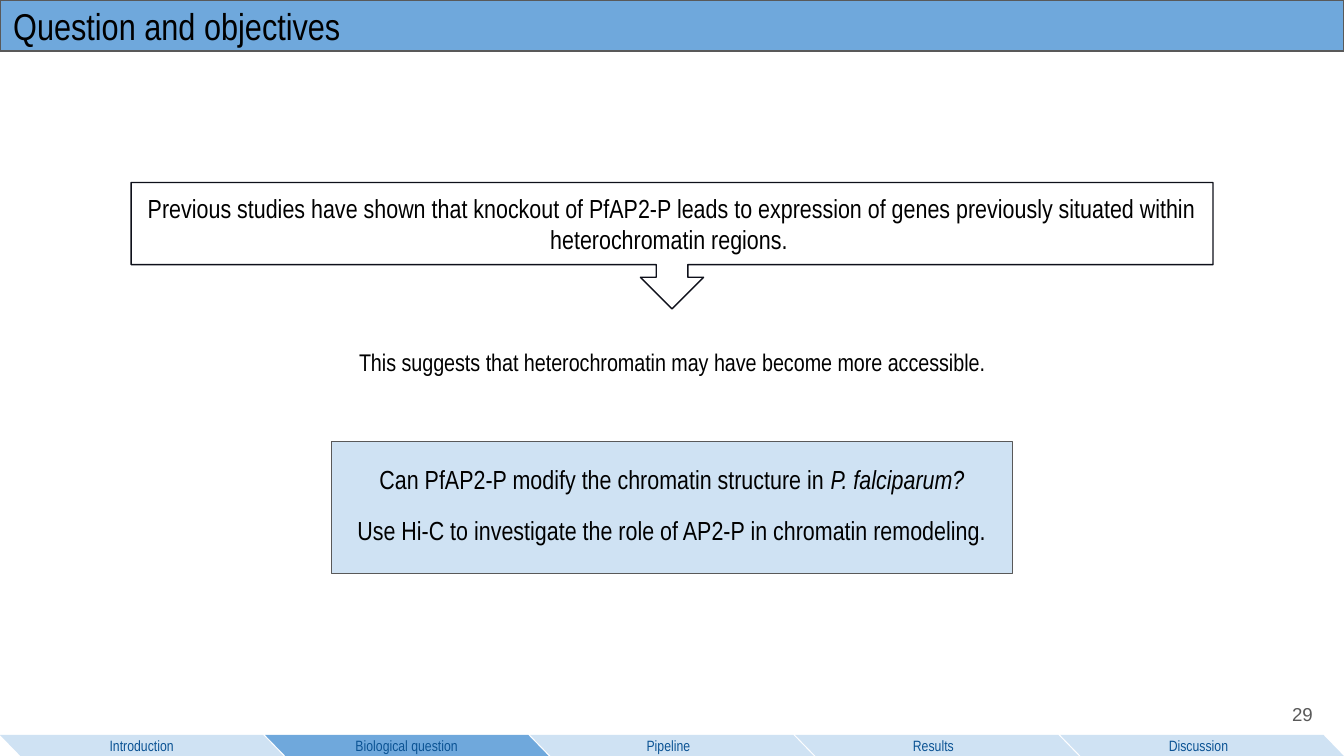
from pptx import Presentation
from pptx.dml.color import RGBColor
from pptx.enum.shapes import MSO_SHAPE
from pptx.enum.text import MSO_ANCHOR, PP_ALIGN
from pptx.util import Pt

RECT = MSO_SHAPE.RECTANGLE
CALLOUT = MSO_SHAPE.DOWN_ARROW_CALLOUT
SLANT = MSO_SHAPE.PARALLELOGRAM
LEFT, CENTER, RIGHT = PP_ALIGN.LEFT, PP_ALIGN.CENTER, PP_ALIGN.RIGHT
TOP, MIDDLE = MSO_ANCHOR.TOP, MSO_ANCHOR.MIDDLE

WIDE, HIGH = 720, 405
INSET = 7.2
NARROW = "Arial Narrow"
BLACK, GREY, INK, NAVY = "000000", "595959", "0E101A", "0B5394"
BLUE, PALE = "6FA8DC", "CFE2F3"


def color(code):
    return RGBColor.from_string(code)


def add_box(shapes, kind, box, fill=None, line=None):
    shape = shapes.add_shape(kind, *map(Pt, box))
    shape.shadow.inherit = False
    if fill:
        shape.fill.solid()
        shape.fill.fore_color.rgb = color(fill)
    else:
        shape.fill.background()
    if line:
        shape.line.color.rgb = color(line)
        shape.line.width = Pt(0.75)
    else:
        shape.line.fill.background()
    return shape


def write(shape, paras, size, align=CENTER, anchor=MIDDLE, font=NARROW,
          ink=BLACK, lead=1.0, gap=0, right=INSET):
    """Fill a shape; each paragraph is a list of (text, italic) runs."""
    frame = shape.text_frame
    frame.word_wrap = True
    frame.vertical_anchor = anchor
    frame.margin_left = frame.margin_top = frame.margin_bottom = Pt(INSET)
    frame.margin_right = Pt(right)
    for i, runs in enumerate(paras):
        para = frame.paragraphs[0] if i == 0 else frame.add_paragraph()
        para.alignment = align
        para.line_spacing = lead
        para.space_before = Pt(gap if i else 0)
        for text, slope in runs:
            run = para.add_run()
            run.text = text
            run.font.name = font
            run.font.size = Pt(size)
            run.font.italic = slope
            run.font.color.rgb = color(ink)


def add_title(slide, box):
    bar = add_box(slide.shapes, RECT, box, BLUE, GREY)
    write(bar, [[("Question and objectives", False)]], 20, LEFT)


def add_logic(slide, box):
    x, y, w, h = box
    # Earlier finding, pointing down
    call = add_box(slide.shapes, CALLOUT, (x, y, w, 67.7), line=INK)
    for i, value in enumerate((0.25, 0.25, 0.25, 0.65)):
        call.adjustments[i] = value
    write(call, [[("Previous studies have shown that knockout of PfAP2-P leads "
                   "to expression of genes previously situated within "
                   "heterochromatin regions. ", False)]], 14)

    # What it suggests
    note = slide.shapes.add_textbox(Pt(x), Pt(y + 85), Pt(w), Pt(27.4))
    write(note, [[("This suggests that heterochromatin may have become "
                   "more accessible.", False)]], 12.9, anchor=TOP, lead=0.8)

    # Question and objective
    span, tall = 365, 70.6
    goal = add_box(slide.shapes, RECT,
                   (x + (w - span) / 2, y + h - tall, span, tall), PALE, GREY)
    write(goal, [
        [("Can PfAP2-P modify the chromatin structure in ", False),
         ("P. falciparum?", True)],
        [("Use Hi-C to investigate the role of AP2-P in chromatin remodeling.",
          False)],
    ], 14, lead=0.8, gap=13.7)


def add_nav(slide, box, names, active):
    x, y, w, h = box
    tab = 152
    step = (w - tab) / (len(names) - 1)
    group = slide.shapes.add_group_shape()
    for i, name in enumerate(names):
        part = add_box(group.shapes, SLANT, (x + i * step, y, tab, h),
                       BLUE if i == active else PALE)
        part.adjustments[0] = 0.97
        part._element.spPr.xfrm.set("flipH", "1")
        # Labels after the active tab sit slightly to the left
        write(part, [[(name, False)]], 8, ink=NAVY,
              right=INSET + (3.6 if i > active else 0))


def add_number(slide, box, number):
    note = slide.shapes.add_textbox(*map(Pt, box))
    write(note, [[(number, False)]], 10, RIGHT, font="Arial", ink=GREY)


def main():
    deck = Presentation()
    deck.slide_width, deck.slide_height = Pt(WIDE), Pt(HIGH)
    slide = deck.slides.add_slide(deck.slide_layouts[6])
    add_number(slide, (667.2, 367.2, 43.2, 31), "29")
    add_logic(slide, (70.2, 97.8, 579.6, 209.4))
    add_title(slide, (0, 0, WIDE, 27.3))
    add_nav(slide, (0, 393.7, WIDE, 11.3),
            ("Introduction", "Biological question", "Pipeline", "Results",
             "Discussion"), 1)
    deck.save("out.pptx")


if __name__ == "__main__":
    main()
